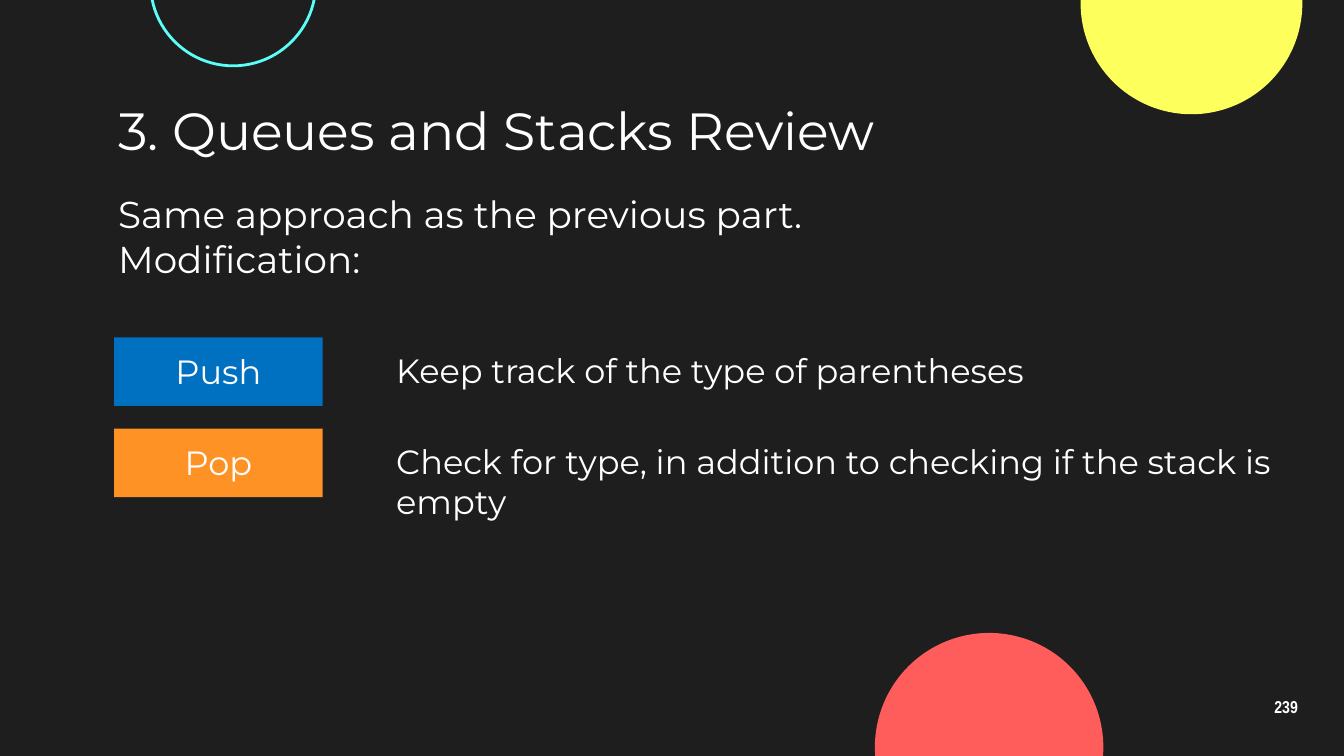
from pptx import Presentation
from pptx.dml.color import RGBColor
from pptx.enum.shapes import MSO_SHAPE as Shape
from pptx.enum.text import MSO_ANCHOR as Anchor, PP_ALIGN as Align
from pptx.util import Inches, Pt

WHITE = "FFFFFF"
SLIDE_WIDTH = 10
SLIDE_HEIGHT = SLIDE_WIDTH * 9 / 16


def color(hex_code):
    return RGBColor.from_string(hex_code)


def write(shape, text, size=18, font="Montserrat", ink=WHITE, bold=False,
          align=Align.LEFT, anchor=Anchor.TOP, spacing=None):
    frame = shape.text_frame
    frame.word_wrap = True
    frame.vertical_anchor = anchor
    frame.margin_left = frame.margin_right = Inches(0.1)
    frame.margin_top = frame.margin_bottom = Inches(0.1)
    frame.text = text
    for paragraph in frame.paragraphs:
        paragraph.alignment = align
        if spacing:
            paragraph.line_spacing = spacing
        paragraph.font.size = Pt(size)
        paragraph.font.name = font
        paragraph.font.bold = bold
        paragraph.font.color.rgb = color(ink)


class Deck:
    def __init__(self, width, height, background):
        self.presentation = Presentation()
        self.presentation.slide_width = Inches(width)
        self.presentation.slide_height = Inches(height)
        self.slide = self.presentation.slides.add_slide(
            self.presentation.slide_layouts[5])
        self.slide.background.fill.solid()
        self.slide.background.fill.fore_color.rgb = color(background)

    def shape(self, kind, left, top, width, height, fill=None, line=None):
        shape = self.slide.shapes.add_shape(
            kind, Inches(left), Inches(top), Inches(width), Inches(height))
        shape.shadow.inherit = False
        if fill:
            shape.fill.solid()
            shape.fill.fore_color.rgb = color(fill)
        else:
            shape.fill.background()
        if line:
            shape.line.color.rgb = color(line)
            shape.line.width = Pt(1.5)
        else:
            shape.line.fill.background()
        return shape

    def circle(self, left, top, diameter, **style):
        self.shape(Shape.OVAL, left, top, diameter, diameter, **style)

    def label(self, text, left, top, width, height, fill):
        box = self.shape(Shape.RECTANGLE, left, top, width, height, fill=fill)
        write(box, text, align=Align.CENTER)

    def text(self, text, left, top, width, height, **style):
        box = self.slide.shapes.add_textbox(
            Inches(left), Inches(top), Inches(width), Inches(height))
        write(box, text, **style)

    def title(self, text, left, top, width, height):
        title = self.slide.shapes.title
        title.left, title.top = Inches(left), Inches(top)
        title.width, title.height = Inches(width), Inches(height)
        write(title, text, size=28, anchor=Anchor.MIDDLE)


def main():
    deck = Deck(SLIDE_WIDTH, SLIDE_HEIGHT, "1E1E1E")
    deck.circle(8.04, -0.8, 1.65, fill="FDFF5C")
    deck.circle(1.12, -0.74, 1.23, line="5CFFF8")
    deck.circle(6.51, 4.71, 1.7, fill="FF5C5C")
    deck.text("239", 9.27, 5.1, 0.6, 0.34, size=9.2, font="Arial Narrow",
              bold=True, align=Align.CENTER, anchor=Anchor.MIDDLE, spacing=0.9)
    deck.title("3. Queues and Stacks Review", 0.78, 0.71, 8.44, 0.51)
    deck.text("Same approach as the previous part.\nModification:",
              0.78, 1.32, 8.55, 0.51, size=20)

    operations = [
        ("Push", "0070C0", "Keep track of the type of parentheses", 7.6),
        ("Pop", "FF9225",
         "Check for type, in addition to checking if the stack is empty", 6.8),
    ]
    for row, (operation, fill, change, change_width) in enumerate(operations):
        top = 2.51 + 0.68 * row
        deck.label(operation, 0.85, top, 1.55, 0.51, fill)
        deck.text(change, 2.85, top - 0.01, change_width, 0.51)

    deck.presentation.save("out.pptx")


if __name__ == "__main__":
    main()
